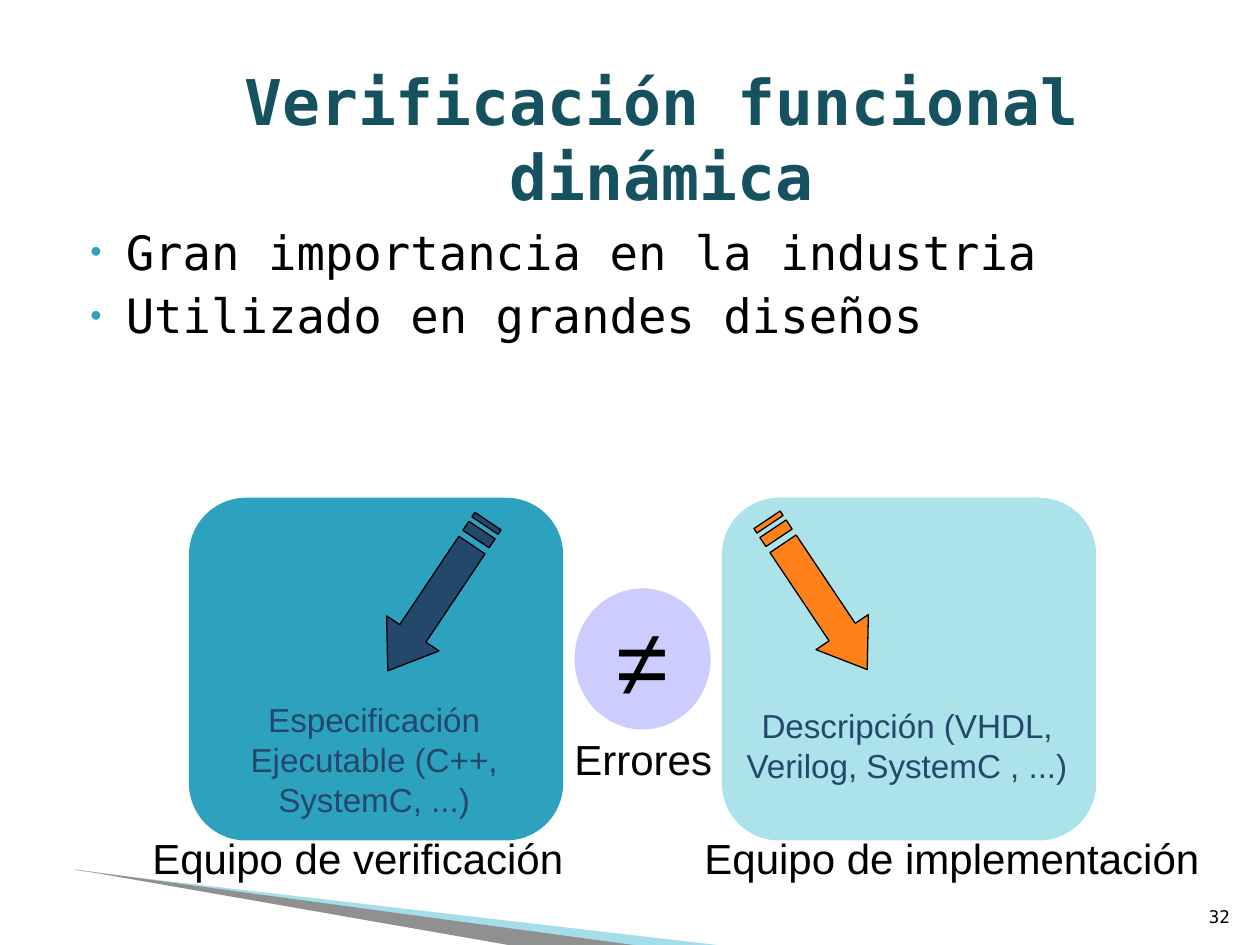
"""Build the slide on dynamic functional verification."""
from lxml.etree import SubElement
from pptx import Presentation
from pptx.dml.color import RGBColor
from pptx.enum.shapes import MSO_SHAPE as Preset
from pptx.enum.text import MSO_ANCHOR as Anchor, PP_ALIGN as Align
from pptx.oxml.ns import qn
from pptx.util import Inches, Pt

MONO, SANS = "DejaVu Sans Mono", "Arial"
BLACK, NAVY, TEAL = "000000", "24486C", "2DA2BF"
TITLE = "Verificación funcional dinámica"
BULLETS = ["Gran importancia en la industria", "Utilizado en grandes diseños"]
WEDGES = [
    ([(6.1, 92.13), (57.8, 100.13), (44.5, 100.13), (6.1, 92)], "1FAECD", 40),
    ([(5.9, 92), (51, 100.13), (41.5, 100.27), (6, 92)], "909090", 100),
]
TEAMS = [
    dict(left=15, fill=TEAL, caption="Equipo de verificación", caption_box=(10.9, 87.47, 35, 6.67),
         text="Especificación Ejecutable (C++, SystemC, ...)", text_box=(15.7, 73.33, 28, 14.13),
         arrow_fill=NAVY, arrow_center=(34.75, 63.07), angle=123.8),
    dict(left=57.3, fill="ACE3EA", caption="Equipo de implementación", caption_box=(54.7, 87.47, 41.7, 6.67),
         text="Descripción (VHDL, Verilog, SystemC , ...)", text_box=(57.8, 74, 28.4, 9.87),
         arrow_fill="FF8119", arrow_center=(64.85, 62.93), angle=56.2),
]
CARD_TOP, CARD_WIDTH, CARD_HEIGHT = 52.67, 29.7, 36.27
ARROW_WIDTH, ARROW_HEIGHT = 14.3, 6.67
ARROW_PARTS = [
    [(0, 0.25), (0.03, 0.25), (0.03, 0.75), (0, 0.75)],
    [(0.06, 0.25), (0.12, 0.25), (0.12, 0.75), (0.06, 0.75)],
    [(0.16, 0.25), (0.75, 0.25), (0.75, 0), (1, 0.5), (0.75, 1), (0.75, 0.75), (0.16, 0.75)],
]

presentation = Presentation()
presentation.slide_width, presentation.slide_height = Inches(10), Inches(7.5)
slide = presentation.slides.add_slide(presentation.slide_layouts[6])


def color(value):
    return RGBColor.from_string(value)


def place(x, y):
    """Turn percentages of the slide into a point."""
    return int(presentation.slide_width * x / 100), int(presentation.slide_height * y / 100)


def area(left, top, width, height):
    return *place(left, top), *place(width, height)


def paint(shape, fill, line=None):
    """Give a shape a flat fill and an optional thin outline."""
    shape.shadow.inherit = False
    shape.fill.solid()
    shape.fill.fore_color.rgb = color(fill)
    if line:
        shape.line.color.rgb = color(line)
        shape.line.width = Pt(0.75)
    else:
        shape.line.fill.background()
    return shape


def draw(contours):
    """Draw closed contours as one outline shape."""
    builder = slide.shapes.build_freeform(*contours[0][0], scale=1.0)
    for index, points in enumerate(contours):
        if index:
            builder.move_to(*points[0])
        builder.add_line_segments(points[1:], close=True)
    return builder.convert_to_shape()


def add_bullet(paragraph):
    """Put a small coloured bullet on a paragraph."""
    properties = paragraph._p.get_or_add_pPr()
    properties.set("marL", str(Inches(0.4)))
    properties.set("indent", str(-Inches(0.28)))
    bullet_color = SubElement(properties, qn("a:buClr"))
    SubElement(bullet_color, qn("a:srgbClr"), val=TEAL)
    SubElement(properties, qn("a:buSzPct"), val="68000")
    SubElement(properties, qn("a:buFont"), typeface=SANS)
    SubElement(properties, qn("a:buChar"), char="•")


def write(lines, box=None, shape=None, size=24, font=SANS, fill=BLACK, bold=False,
          align=Align.CENTER, anchor=Anchor.TOP, wrap=True, bullets=False):
    """Write paragraphs into a given shape or a new text box."""
    shape = shape or slide.shapes.add_textbox(*area(*box))
    frame = shape.text_frame
    frame.word_wrap, frame.vertical_anchor = wrap, anchor
    for index, line in enumerate(lines):
        paragraph = frame.add_paragraph() if index else frame.paragraphs[0]
        paragraph.alignment = align
        if index:
            paragraph.space_before = Pt(4)
        if bullets:
            add_bullet(paragraph)
        paragraph.text = line
        paragraph.font.size, paragraph.font.bold = Pt(size), bold
        paragraph.font.name, paragraph.font.color.rgb = font, color(fill)


def add_arrow(center, fill, angle):
    """Add a striped arrow turned around its centre."""
    left, top = center[0] - ARROW_WIDTH / 2, center[1] - ARROW_HEIGHT / 2
    contours = [[place(left + x * ARROW_WIDTH, top + y * ARROW_HEIGHT) for x, y in part]
                for part in ARROW_PARTS]
    paint(draw(contours), fill, BLACK).rotation = angle


for points, fill, opacity in WEDGES:
    wedge = paint(draw([[place(*point) for point in points]]), fill)
    tint = wedge._element.spPr.find(qn("a:solidFill"))[0]
    SubElement(tint, qn("a:alpha"), val=str(opacity * 1000))

write([TITLE], (10, 6.27, 85, 16.67), size=36, font=MONO, fill="165160", bold=True, anchor=Anchor.MIDDLE)
write(BULLETS, (5, 22.93, 90, 68.8), size=27, font=MONO, align=Align.LEFT, bullets=True)

for team in TEAMS:
    card_area = area(team["left"], CARD_TOP, CARD_WIDTH, CARD_HEIGHT)
    paint(slide.shapes.add_shape(Preset.ROUNDED_RECTANGLE, *card_area), team["fill"])
    write([team["caption"]], team["caption_box"], wrap=False)
    add_arrow(team["arrow_center"], team["arrow_fill"], team["angle"])
    write([team["text"]], team["text_box"], size=19, fill=NAVY)

circle = paint(slide.shapes.add_shape(Preset.OVAL, *area(45.6, 62.27, 10.8, 14.93)), "CCCCFF")
write(["≠"], shape=circle, size=54, anchor=Anchor.MIDDLE, wrap=False)
write(["Errores"], (44.5, 76.93, 13.1, 6.67), wrap=False)
write(["32"], (94.6, 93.47, 4, 5.33), size=10, font=MONO, align=Align.RIGHT, anchor=Anchor.BOTTOM)

presentation.save("out.pptx")
